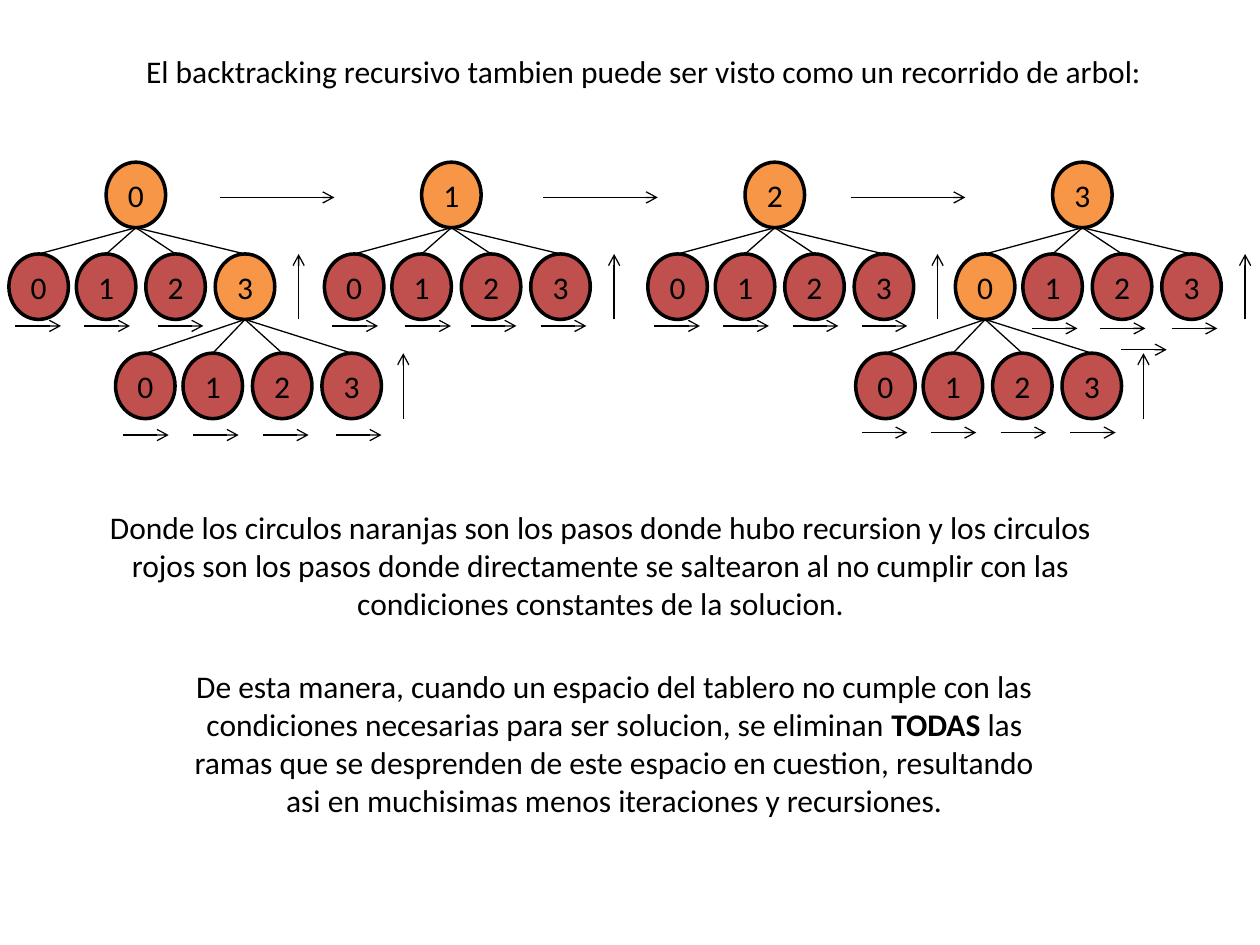
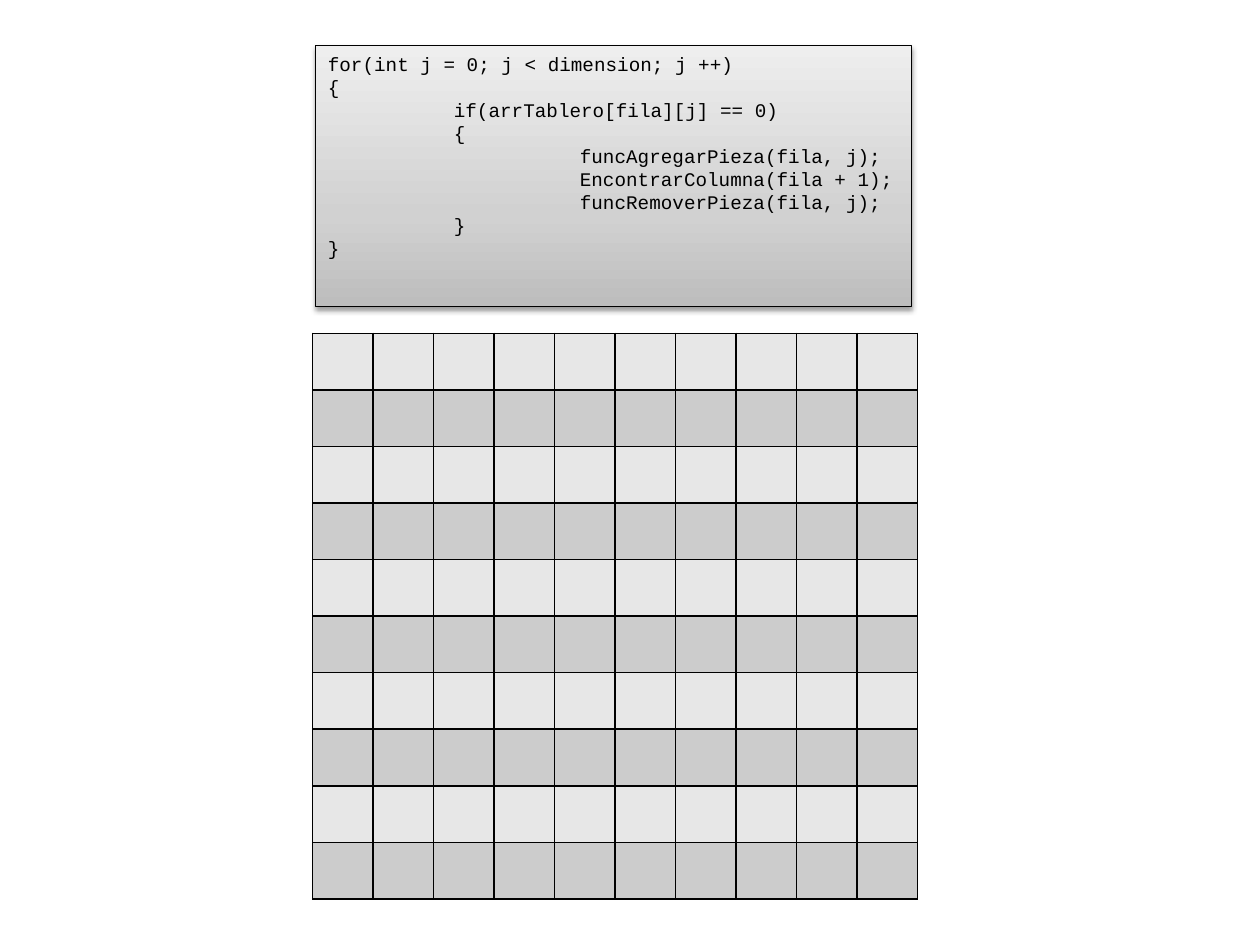
import collections

import pptx
import pptx.dml.color
import pptx.enum.shapes
import pptx.enum.text
import pptx.oxml
import pptx.oxml.ns
import pptx.util
from lxml import etree

Cm, Pt = pptx.util.Cm, pptx.util.Pt
ALIGN, ANCHOR = pptx.enum.text.PP_ALIGN, pptx.enum.text.MSO_ANCHOR
qn = pptx.oxml.ns.qn
NAMESPACE = pptx.oxml.ns.nsdecls("a")

# Lengths in centimetres
Box = collections.namedtuple("Box", "left top width height")
Family = collections.namedtuple("Family", "left hop_drop hops recursed")

BLACK = "000000"
ORANGE, RED = "F79646", "C0504D"
BOARD_STRIPES = ("E7E7E7", "CCCCCC")
PANEL_STOPS = ((0, "BDBDBD"), (35, "D1D1D1"), (100, "EEEEEE"))

NODE_WIDTH, NODE_HEIGHT = 1.2, 1.32
NODE_OFFSETS = (0, 1.36, 2.76, 4.16)
ROOT_OFFSET, CHILD_OFFSET = 1.96, 2.01
ROOT_TOP, CHILD_TOP, GRANDCHILD_TOP = 3.27, 5.12, 7.12
HOP_LENGTH = 0.92
RETURN_OFFSET, LOWER_RETURN_OFFSET = 5.84, 5.8
ROOT_HOP_LENGTH = 2.31

# hops are the starts of the short arrows, measured from the family's left
FAMILIES = (
    Family(0.18, 1.45, (0.13, 1.52, 3.0), 3),
    Family(6.54, 1.45, (0.16, 1.63, 2.95, 4.36), None),
    Family(13.06, 1.45, (0.13, 1.52, 2.92, 4.31), None),
    Family(19.26, 1.5, (1.54, 2.91, 4.36), 0),
)
GRANDCHILD_HOPS = {
    0: (1.65, (0.15, 1.56, 2.97, 4.44)),
    3: (1.6, (0.12, 1.51, 2.92, 4.32)),
}

HEADING = "El backtracking recursivo tambien puede ser visto como un recorrido de arbol:"
COLOUR_NOTE = (
    "Donde los circulos naranjas son los pasos donde hubo recursion y los circulos "
    "rojos son los pasos donde directamente se saltearon al no cumplir con las "
    "condiciones constantes de la solucion.",
)
PRUNING_NOTE = (
    "De esta manera, cuando un espacio del tablero no cumple con las condiciones "
    "necesarias para ser solucion, se eliminan ",
    "TODAS ",
    "las ramas que se desprenden de este espacio en cuestion, resultando asi en "
    "muchisimas menos iteraciones y recursiones.",
)
CODE = """for(int j = 0; j < dimension; j ++)
{
\tif(arrTablero[fila][j] == 0)
\t{
\t\tfuncAgregarPieza(fila, j);
\t\tEncontrarColumna(fila + 1);
\t\tfuncRemoverPieza(fila, j);
\t}
}"""


def colour(code):
    return pptx.dml.color.RGBColor.from_string(code)


def in_cm(box):
    return [Cm(length) for length in box]


def style_text(frame, align, size=18, font="Calibri"):
    for para in frame.paragraphs:
        para.alignment = align
        for span in para.runs:
            span.font.name = font
            span.font.size = Pt(size)
            span.font.color.rgb = colour(BLACK)


def add_heading(page, box):
    title = page.shapes.title
    title.left, title.top, title.width, title.height = in_cm(box)
    frame = title.text_frame
    frame.text = HEADING
    frame.vertical_anchor = ANCHOR.TOP
    style_text(frame, ALIGN.LEFT)


def add_note(page, box, parts):
    """Write a centred paragraph; every second part is bold."""
    frame = page.shapes.add_textbox(*in_cm(box)).text_frame
    frame.word_wrap = True
    for index, part in enumerate(parts):
        span = frame.paragraphs[0].add_run()
        span.text = part
        span.font.bold = index % 2 == 1
    style_text(frame, ALIGN.CENTER)


def add_line(page, start, end, arrow=False):
    line = page.shapes.add_connector(
        pptx.enum.shapes.MSO_CONNECTOR.STRAIGHT, *in_cm(start + end))
    line.line.color.rgb = colour(BLACK)
    line.line.width = Pt(0.75)
    properties = line._element.spPr
    if arrow:
        etree.SubElement(properties.find(qn("a:ln")), qn("a:tailEnd"), type="arrow")
    etree.SubElement(properties, qn("a:effectLst"))
    return line


def add_hop(page, left, top, length=HOP_LENGTH):
    add_line(page, (left, top), (left + length, top), arrow=True)


def add_node(page, left, top, number, recursed):
    node = page.shapes.add_shape(
        pptx.enum.shapes.MSO_SHAPE.OVAL,
        *in_cm(Box(left, top, NODE_WIDTH, NODE_HEIGHT)))
    node.shadow.inherit = False
    node.fill.solid()
    node.fill.fore_color.rgb = colour(ORANGE if recursed else RED)
    node.line.color.rgb = colour(BLACK)
    node.line.width = Pt(2)
    node.text_frame.text = str(number)
    node.text_frame.vertical_anchor = ANCHOR.MIDDLE
    style_text(node.text_frame, ALIGN.CENTER)
    return node


def add_children(page, family, top, parent_left, parent_top, return_offset):
    """Draw a row of four nodes, its edges to the parent and its arrows."""
    parent_bottom = (parent_left + NODE_WIDTH / 2, parent_top + NODE_HEIGHT)
    for number, offset in enumerate(NODE_OFFSETS):
        left = family.left + offset
        node = add_node(page, left, top, number, number == family.recursed)
        edge = add_line(page, parent_bottom, (left + NODE_WIDTH / 2, top))
        edge.end_connect(node, 0)
    for hop in family.hops:
        add_hop(page, family.left + hop, top + family.hop_drop)
    return_left = family.left + return_offset
    add_line(page, (return_left, top + NODE_HEIGHT), (return_left, top), arrow=True)


def add_tree(page, number, family):
    root_left = family.left + ROOT_OFFSET
    add_node(page, root_left, ROOT_TOP, number, True)
    add_children(page, family, CHILD_TOP, root_left, ROOT_TOP, RETURN_OFFSET)
    if family.recursed is not None:
        child_left = family.left + NODE_OFFSETS[family.recursed]
        grandchildren = Family(
            child_left - CHILD_OFFSET, *GRANDCHILD_HOPS[number], None)
        add_children(page, grandchildren, GRANDCHILD_TOP, child_left, CHILD_TOP,
                     LOWER_RETURN_OFFSET)
    if number:
        add_hop(page, family.left + 0.2 - ROOT_HOP_LENGTH, 3.98, ROOT_HOP_LENGTH)


def build_tree_slide(deck):
    page = deck.slides.add_slide(deck.slide_layouts.get_by_name("Title Only"))
    add_heading(page, Box(2.69, 0.92, 20.8, 1.02))
    for number, family in enumerate(FAMILIES):
        add_tree(page, number, family)
    add_hop(page, 22.6, 7.05)
    add_note(page, Box(1.77, 10.12, 20.68, 2.57), COLOUR_NOTE)
    add_note(page, Box(3.33, 13.33, 18.11, 3.33), PRUNING_NOTE)


def add_code_panel(page, box):
    panel = page.shapes.add_shape(
        pptx.enum.shapes.MSO_SHAPE.RECTANGLE, *in_cm(box))
    panel.line.color.rgb = colour(BLACK)
    panel.line.width = Pt(0.75)
    panel.fill.solid()
    stops = "".join(
        f'<a:gs pos="{place * 1000}"><a:srgbClr val="{code}"/></a:gs>'
        for place, code in PANEL_STOPS)
    properties = panel._element.spPr
    properties.replace(properties.find(qn("a:solidFill")), pptx.oxml.parse_xml(
        f'<a:gradFill {NAMESPACE} rotWithShape="1"><a:gsLst>{stops}</a:gsLst>'
        '<a:lin ang="16200000" scaled="0"/></a:gradFill>'))
    panel.shadow.inherit = False
    properties.find(qn("a:effectLst")).append(pptx.oxml.parse_xml(
        f'<a:outerShdw {NAMESPACE} blurRad="40000" dist="20000" dir="5400000" '
        f'rotWithShape="0"><a:srgbClr val="{BLACK}"><a:alpha val="38000"/>'
        '</a:srgbClr></a:outerShdw>'))
    frame = panel.text_frame
    frame.text = CODE
    frame.word_wrap = True
    frame.vertical_anchor = ANCHOR.TOP
    style_text(frame, ALIGN.LEFT, 11, "Courier New")
    for para in frame.paragraphs:
        para.line_spacing = Pt(13.2)
        para_properties = para._p.get_or_add_pPr()
        para_properties.set("defTabSz", str(Cm(2.54)))
        tabs = etree.SubElement(para_properties, qn("a:tabLst"))
        for stop in (1, 2):
            etree.SubElement(tabs, qn("a:tab"), pos=str(Cm(2.54 * stop)), algn="l")


def set_borders(cell):
    properties = cell._tc.get_or_add_tcPr()
    for index, side in enumerate(("lnL", "lnR", "lnT", "lnB")):
        properties.insert(index, pptx.oxml.parse_xml(
            f'<a:{side} {NAMESPACE} w="12700"><a:solidFill>'
            f'<a:srgbClr val="{BLACK}"/></a:solidFill></a:{side}>'))


def add_board(page, box, size=10):
    board = page.shapes.add_table(size, size, *in_cm(box)).table
    board.first_row = board.horz_banding = False
    for column in board.columns:
        column.width = Cm(box.width / size)
    for index, row in enumerate(board.rows):
        row.height = Cm(box.height / size)
        for cell in row.cells:
            cell.fill.solid()
            cell.fill.fore_color.rgb = colour(BOARD_STRIPES[index % 2])
            set_borders(cell)


def build_code_slide(deck):
    page = deck.slides.add_slide(deck.slide_layouts.get_by_name("Blank"))
    add_code_panel(page, Box(6.36, 0.92, 12.01, 5.26))
    add_board(page, Box(6.3, 6.72, 12.2, 11.4))


def main():
    deck = pptx.Presentation()
    deck.slide_width, deck.slide_height = Cm(25.4), Cm(19.05)
    build_tree_slide(deck)
    build_code_slide(deck)
    deck.save("out.pptx")


if __name__ == "__main__":
    main()
